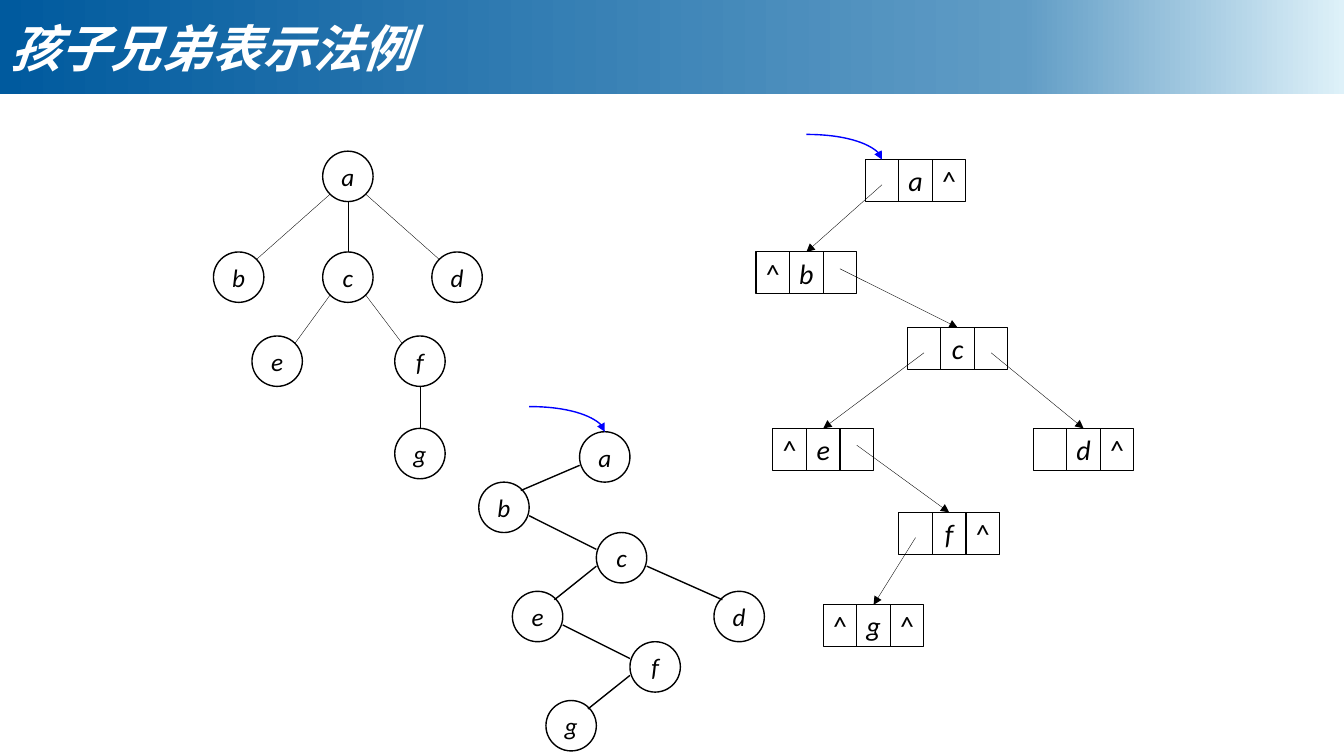
from copy import deepcopy
from dataclasses import dataclass

from lxml import etree
from pptx import Presentation
from pptx.dml.color import RGBColor
from pptx.enum.shapes import MSO_CONNECTOR, MSO_SHAPE
from pptx.enum.text import MSO_ANCHOR, MSO_AUTO_SIZE, PP_ALIGN
from pptx.oxml.ns import qn
from pptx.util import Pt

OVAL, RECT = MSO_SHAPE.OVAL, MSO_SHAPE.RECTANGLE
LINE, CURVE = MSO_CONNECTOR.STRAIGHT, MSO_CONNECTOR.CURVE
MID, NO_FIT = MSO_ANCHOR.MIDDLE, MSO_AUTO_SIZE.NONE
LEFT, CENTER = PP_ALIGN.LEFT, PP_ALIGN.CENTER


@dataclass(frozen=True)
class Theme:
    ink: str = "000000"
    blue: str = "0000FF"
    white: str = "FFFFFF"
    band: tuple = ((0, "005A9E"), (0.76, "609CC5"), (1, "DEF1F9"))
    latin: str = "Calibri"
    han: str = "Noto Sans CJK SC"
    head: int = 36
    node: int = 18
    cell: int = 20
    bold: float = 1
    rule: float = 0.75
    hair: float = 0.25


THEME = Theme()
NODE = 36  # circle diameter
CELL_W, CELL_H = 24, 30


def color(code):
    return RGBColor.from_string(code)


def apply(item, values):
    for name, value in values.items():
        setattr(item, name, value)


def write(shape, text, size, tone, font, align, **style):
    frame = shape.text_frame
    apply(frame, dict(vertical_anchor=MID, auto_size=NO_FIT))
    para = frame.paragraphs[0]
    para.alignment = align
    run = para.add_run()
    run.text = text
    apply(run.font, dict(name=font, size=Pt(size), **style))
    run.font.color.rgb = color(tone)
    return run


def box(shapes, kind, x, y, w, h, width, text, size):
    """Outlined shape with a centred label."""
    shape = shapes.add_shape(kind, Pt(x), Pt(y), Pt(w), Pt(h))
    shape.shadow.inherit = False
    shape.fill.background()
    shape.line.color.rgb = color(THEME.ink)
    shape.line.width = Pt(width)
    if text:
        apply(shape.text_frame, dict(word_wrap=False, margin_left=0, margin_right=0,
                                     margin_top=0, margin_bottom=0))
        write(shape, text, size, THEME.ink, THEME.latin, CENTER, italic=text != "^")


def link(slide, start, end, width, tone=THEME.ink, kind=LINE, arrow=False):
    ends = [Pt(v) for v in (*start, *end)]
    conn = slide.shapes.add_connector(kind, *ends)
    conn.line.color.rgb = color(tone)
    conn.line.width = Pt(width)
    props = conn._element.spPr
    if arrow:
        etree.SubElement(props.find(qn("a:ln")), qn("a:tailEnd"), type="triangle")
    if kind == CURVE:
        props.find(qn("a:prstGeom")).set("prst", "curvedConnector2")
    etree.SubElement(props, qn("a:effectLst"))


def enter(slide, x, y):
    """Blue arrow that points down at the root."""
    link(slide, (x - 54, y - 18), (x, y), THEME.bold, THEME.blue, CURVE, True)


def shift(spots, x, y):
    return {name: (x + dx, y + dy) for name, (dx, dy) in spots.items()}


def circles(slide, spots):
    for name, (x, y) in spots.items():
        box(slide.shapes, OVAL, x, y, NODE, NODE, THEME.bold, name, THEME.node)


# Title band
def banner(slide, x, y, w, h):
    title = slide.shapes.title
    apply(title, dict(left=Pt(x), top=Pt(y), width=Pt(w), height=Pt(h)))
    title.fill.gradient()
    title.fill.gradient_angle = 0
    stops = title._element.spPr.find(".//" + qn("a:gsLst"))
    stops.insert(1, deepcopy(stops[0]))
    for stop, (place, tone) in zip(title.fill.gradient_stops, THEME.band):
        stop.position = place
        stop.color.rgb = color(tone)
    run = write(title, "孩子兄弟表示法例", THEME.head, THEME.white, THEME.han, LEFT,
                bold=True, italic=True)
    etree.SubElement(run.font._element, qn("a:ea"), typeface=THEME.han)


# General tree: edges join the rims straight down or on the diagonals
def tree(slide, x, y):
    spots = shift(dict(a=(78, 0), b=(0, 72), c=(78, 72), d=(156, 72),
                       e=(27.5, 132), f=(129.5, 132), g=(129.5, 198)), x, y)
    circles(slide, spots)
    half = NODE / 2
    diag = half * 0.7
    for top, low in ("ab", "ac", "ad", "ce", "cf", "fg"):
        (x1, y1), (x2, y2) = spots[top], spots[low]
        side = (x2 > x1) - (x2 < x1)
        dx, dy = side * diag, diag if side else half
        link(slide, (x1 + half + dx, y1 + half + dy),
             (x2 + half - dx, y2 + half - dy), THEME.hair)


# Binary tree: first child to the left, next sibling to the right
def binary(slide, x, y):
    spots = shift(dict(a=(72, 0), b=(0, 36), c=(84, 72), d=(168, 114),
                       e=(24, 114), f=(108, 150), g=(48, 192)), x, y)
    circles(slide, spots)
    for top, low in ("ab", "bc", "cd", "ce", "ef", "fg"):
        (x1, y1), (x2, y2) = spots[top], spots[low]
        right = x2 > x1
        dx, dy = (0, 12) if right else (30, 6)
        if low == "d":
            dx, dy = 6, 6
        link(slide, (x1 + NODE * right, y1 + 24), (x2 + dx, y2 + dy), THEME.bold)
    root = spots["a"]
    enter(slide, root[0] + NODE / 2, root[1])


# Linked records: child pointer, name, sibling pointer
def chain(slide, x, y):
    spots = shift(dict(a=(78, 0), b=(0, 66), c=(108, 120), d=(198, 192),
                       e=(12, 192), f=(102, 252), g=(48, 318)), x, y)
    nils = dict(a=" ^", b="^ ", c="  ", d=" ^", e="^ ", f=" ^", g="^^")
    for name, (left, top) in spots.items():
        group = slide.shapes.add_group_shape()
        child, peer = nils[name]
        for col, text in enumerate((child, name, peer)):
            box(group.shapes, RECT, left + col * CELL_W, top, CELL_W, CELL_H,
                THEME.rule, text.strip(), THEME.cell)
    for (top, low), col, drop in (("ab", 0, 18), ("bc", 2, 12), ("ce", 0, 18),
                                  ("ef", 2, 12), ("fg", 0, 18), ("cd", 2, 18)):
        (x1, y1), (x2, y2) = spots[top], spots[low]
        link(slide, (x1 + (col + 0.5) * CELL_W, y1 + drop),
             (x2 + 1.5 * CELL_W, y2), THEME.hair, arrow=True)
    root = spots["a"]
    enter(slide, root[0] + CELL_W / 2, root[1])


def main():
    deck = Presentation()
    apply(deck, dict(slide_width=Pt(960), slide_height=Pt(540)))
    slide = deck.slides.add_slide(deck.slide_layouts[5])
    banner(slide, 0, 0, 960, 67.5)
    tree(slide, 152.5, 108)
    binary(slide, 342, 308.4)
    chain(slide, 540, 114)
    deck.save("out.pptx")


if __name__ == "__main__":
    main()
